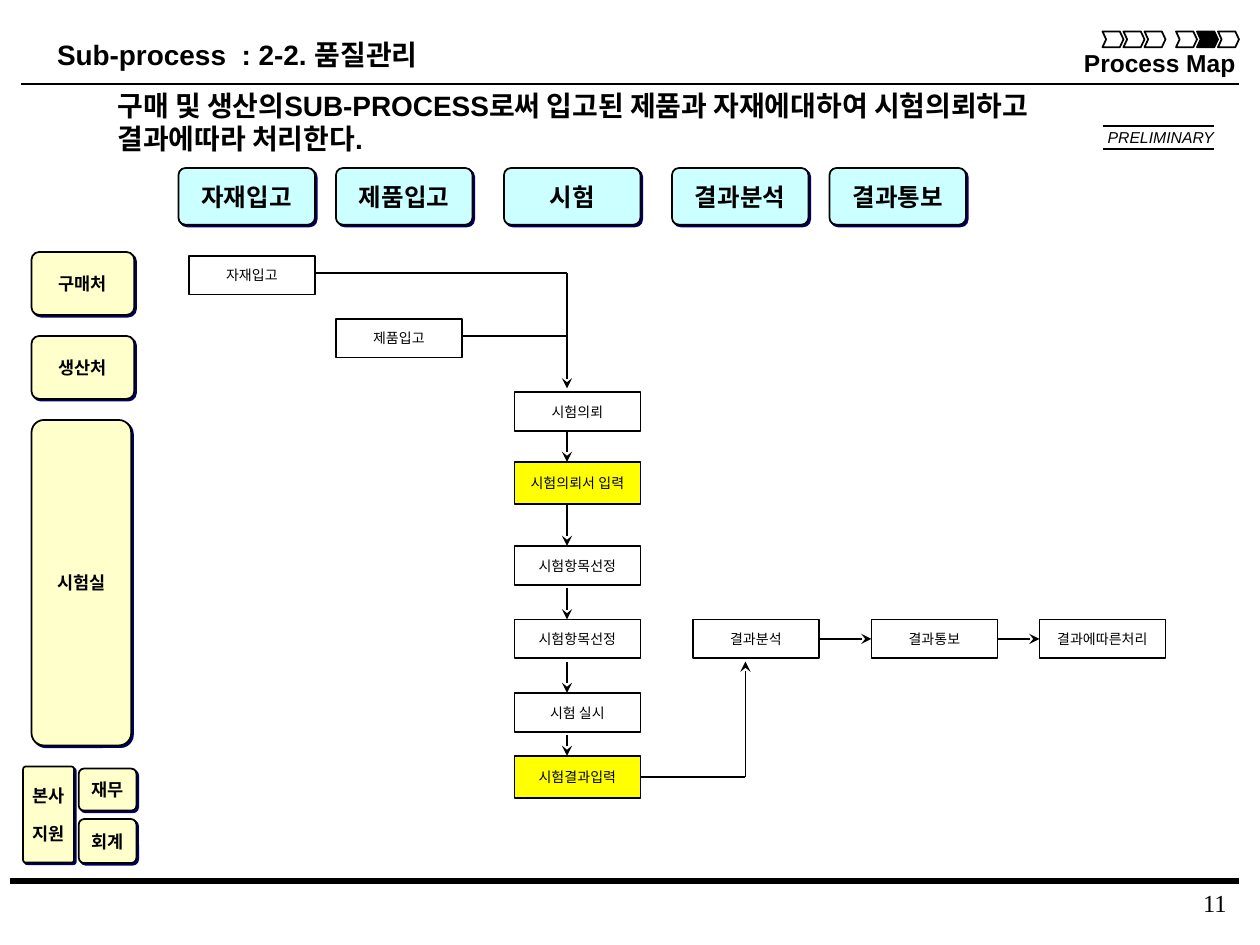
from dataclasses import dataclass
from typing import Any, Optional

from lxml.etree import SubElement
from pptx import Presentation
from pptx.dml.color import RGBColor
from pptx.enum.shapes import MSO_CONNECTOR, MSO_SHAPE
from pptx.enum.text import MSO_ANCHOR, PP_ALIGN
from pptx.oxml.ns import qn
from pptx.util import Inches, Pt

BLACK = RGBColor(0, 0, 0)
WHITE = RGBColor(255, 255, 255)
YELLOW = RGBColor(255, 255, 0)
CREAM = RGBColor(255, 255, 204)
AQUA = RGBColor(204, 255, 255)
NAVY = RGBColor(0, 0, 102)
HANGUL_FONT = "Noto Sans CJK KR"
RIGHT, LEFT = 3, 1

deck = Presentation()
deck.slide_width, deck.slide_height = Inches(10), Inches(7.5)
COLUMN = deck.slide_width / 120
ROW = deck.slide_height / 90
page = deck.slides.add_slide(deck.slide_layouts[6])


@dataclass
class Area:
    column: float
    row: float
    columns: float
    rows: float

    def lengths(self) -> list[int]:
        return [round(self.column * COLUMN), round(self.row * ROW),
                round(self.columns * COLUMN), round(self.rows * ROW)]


@dataclass
class Style:
    size: float
    font: str = "Arial"
    bold: bool = False
    italic: bool = False
    align: PP_ALIGN = PP_ALIGN.CENTER
    anchor: MSO_ANCHOR = MSO_ANCHOR.MIDDLE
    wrap: bool = False
    margins: tuple[float, float] = (0.1, 0.05)
    gap: float = 0


@dataclass
class Card:
    text: str
    area: Area
    fill: RGBColor
    style: Style
    corner: float = 0.125


@dataclass
class Step:
    key: str
    text: str
    column: float
    row: float
    fill: RGBColor = WHITE
    rows: float = 3.7


@dataclass
class Line:
    start: tuple[float, float]
    end: tuple[float, float]
    arrow: bool = False
    source: Optional[str] = None
    target: Optional[str] = None
    width: float = 1


def apply(target: Any, values: dict[str, Any]) -> None:
    for name, value in values.items():
        setattr(target, name, value)


def write(box: Any, text: str, style: Style) -> None:
    frame = box.text_frame
    side, edge = (Inches(margin) for margin in style.margins)
    apply(frame, {"word_wrap": style.wrap, "vertical_anchor": style.anchor,
                  "margin_left": side, "margin_right": side,
                  "margin_top": edge, "margin_bottom": edge})
    for index, words in enumerate(text.split("\n")):
        para = frame.add_paragraph() if index else frame.paragraphs[0]
        para.alignment = style.align
        if index and style.gap:
            para.space_before = Pt(style.gap)
        span = para.add_run()
        span.text = words
        apply(span.font, {"name": style.font, "size": Pt(style.size),
                          "bold": style.bold, "italic": style.italic})
        span.font.color.rgb = BLACK
        SubElement(span.font._element, qn("a:ea"), typeface=HANGUL_FONT)


def add_box(kind: MSO_SHAPE, area: Area, fill: Optional[RGBColor]) -> Any:
    box = page.shapes.add_shape(kind, *area.lengths())
    box.shadow.inherit = False
    if fill is None:
        box.fill.background()
    else:
        box.fill.solid()
        box.fill.fore_color.rgb = fill
    box.line.color.rgb = BLACK
    box.line.width = Pt(1)
    return box


def add_label(text: str, area: Area, style: Style) -> None:
    write(page.shapes.add_textbox(*area.lengths()), text, style)


def add_card(card: Card) -> None:
    box = add_box(MSO_SHAPE.ROUNDED_RECTANGLE, card.area, card.fill)
    box.adjustments[0] = card.corner
    effects = box._element.spPr.find(qn("a:effectLst"))
    shadow = SubElement(effects, qn("a:outerShdw"), dist=str(Pt(1.4)),
                        dir="2700000", algn="ctr", rotWithShape="0")
    SubElement(shadow, qn("a:srgbClr"), val=str(NAVY))
    write(box, card.text, card.style)


def add_step(step: Step) -> Any:
    box = add_box(MSO_SHAPE.RECTANGLE, Area(step.column, step.row, 12, step.rows), step.fill)
    write(box, step.text, Style(8, wrap=True, margins=(0.02, 0.04)))
    return box


def add_line(line: Line, boxes: dict[str, Any]) -> None:
    ends = [round(length * unit) for point in (line.start, line.end)
            for length, unit in zip(point, (COLUMN, ROW))]
    connector = page.shapes.add_connector(MSO_CONNECTOR.STRAIGHT, *ends)
    if line.source:
        connector.begin_connect(boxes[line.source], RIGHT)
    if line.target:
        connector.end_connect(boxes[line.target], LEFT)
    connector.line.color.rgb = BLACK
    connector.line.width = Pt(line.width)
    if line.arrow:
        SubElement(connector.line._get_or_add_ln(), qn("a:tailEnd"), type="stealth")
    SubElement(connector._element.spPr, qn("a:effectLst"))


STAGE = Style(14, HANGUL_FONT, bold=True)
TEAM = Style(10, HANGUL_FONT, bold=True)
SPACED_TEAM = Style(10, HANGUL_FONT, bold=True, gap=10)
STAGES = {"자재입고": 17, "제품입고": 32, "시험": 48, "결과분석": 64, "결과통보": 79}
CARDS = [Card(text, Area(column, 16, 13, 5.4), AQUA, STAGE) for text, column in STAGES.items()] + [
    Card("구매처", Area(3, 24, 9.8, 6), CREAM, TEAM),
    Card("생산처", Area(3, 32, 9.8, 6), CREAM, TEAM),
    Card("시험실", Area(3, 40, 9.5, 31), CREAM, TEAM),
    Card("본사\n지원", Area(2.2, 73, 4.85, 9.15), CREAM, SPACED_TEAM, 0.05),
    Card("재무", Area(7.5, 73.2, 5.5, 4), CREAM, TEAM),
    Card("회계", Area(7.5, 78, 5.5, 4.2), CREAM, TEAM),
]
STEPS = [
    Step("material", "자재입고", 18, 24.35),
    Step("product", "제품입고", 32, 30.35),
    Step("request", "시험의뢰", 49, 37.35),
    Step("request entry", "시험의뢰서 입력", 49, 44, YELLOW, 4),
    Step("first selection", "시험항목선정", 49, 52),
    Step("second selection", "시험항목선정", 49, 59),
    Step("test", "시험 실시", 49, 66),
    Step("result entry", "시험결과입력", 49, 72, YELLOW, 4),
    Step("analysis", "결과분석", 66, 59),
    Step("notice", "결과통보", 83, 59),
    Step("handling", "결과에따른처리", 99, 59),
]
DROPS = [(26, 37), (41, 44), (48, 52), (56, 59), (63, 66), (70, 72)]
FLOWS = [Line((54, top), (54, bottom), arrow=True) for top, bottom in DROPS] + [
    Line((30, 26), (54, 26)),
    Line((44, 32), (54, 32)),
    Line((61, 74), (71, 74), source="result entry"),
    Line((71, 74), (71, 63), arrow=True),
    Line((78, 61), (83, 61), True, "analysis", "notice"),
    Line((95, 61), (99, 61), True, "notice", "handling"),
]
RULES = [
    Line((2, 8), (118, 8)),
    Line((2, 83.9), (118, 83.9), width=3.75),
    Line((1, 83.9), (117.1, 83.9), width=3.75),
    Line((105, 12), (115.6, 12)),
    Line((105, 14.2), (115.6, 14.2)),
]
CHEVRONS = [105, 107, 109, 112, 114, 116]
CURRENT_CHEVRON = 114
TOP = MSO_ANCHOR.TOP
LABELS = [
    ("Sub-process  : 2-2. 품질관리", Area(3.9, 3, 37.4, 4.4), Style(16, bold=True, anchor=TOP)),
    ("구매 및 생산의SUB-PROCESS로써 입고된 제품과 자재에대하여 시험의뢰하고\n결과에따라 처리한다.",
     Area(10, 7.8, 110, 7.6), Style(16, bold=True, align=PP_ALIGN.LEFT, anchor=TOP, wrap=True)),
    ("Process Map", Area(102, 4, 16.9, 4), Style(14, bold=True, anchor=TOP)),
    ("PRELIMINARY", Area(105, 12.1, 10.6, 2),
     Style(9, italic=True, align=PP_ALIGN.RIGHT, wrap=True, margins=(0, 0))),
    ("11", Area(96, 84, 22, 3),
     Style(14, "Times New Roman", align=PP_ALIGN.RIGHT, anchor=TOP, wrap=True)),
]

for card in CARDS:
    add_card(card)
step_boxes = {step.key: add_step(step) for step in STEPS}
for line in RULES + FLOWS:
    add_line(line, step_boxes)
for column in CHEVRONS:
    fill = BLACK if column == CURRENT_CHEVRON else None
    add_box(MSO_SHAPE.CHEVRON, Area(column, 3, 2, 1.5), fill).adjustments[0] = 0.23
for label in LABELS:
    add_label(*label)

deck.save("out.pptx")
